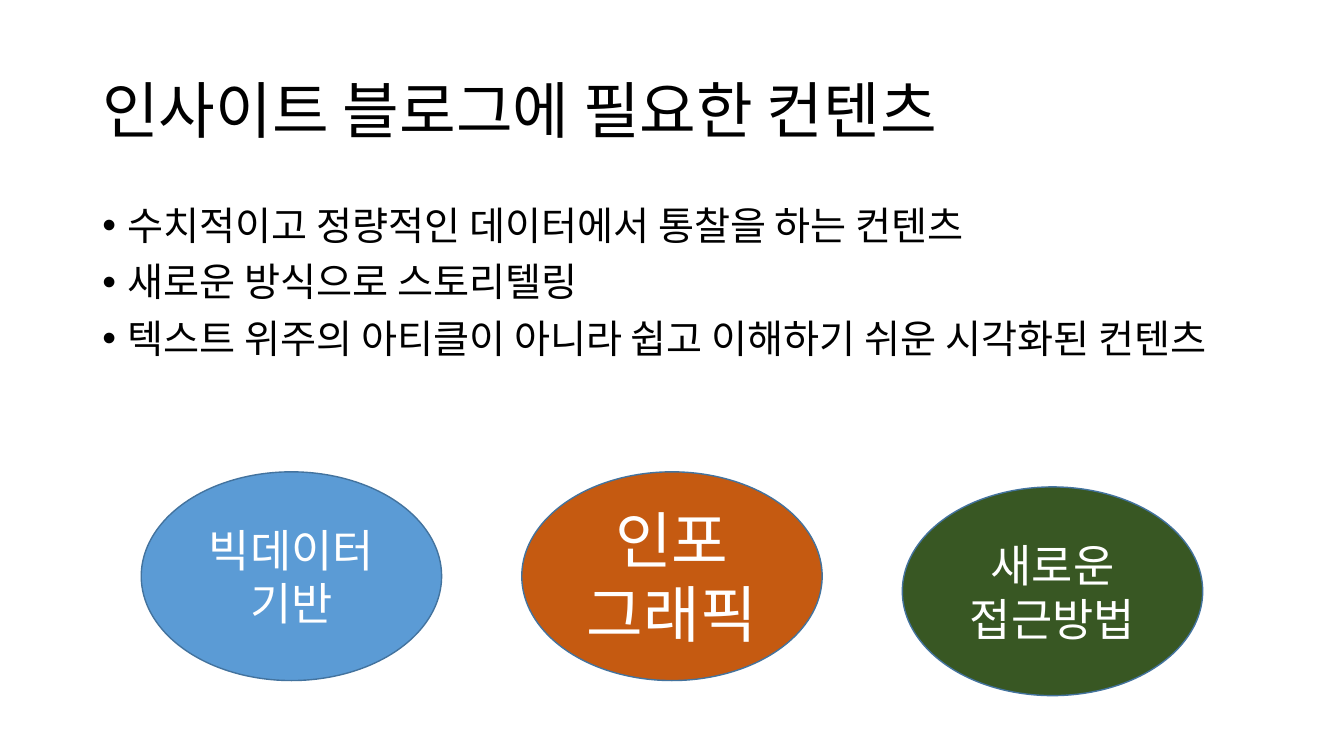
from lxml.etree import SubElement
from pptx import Presentation
from pptx.dml.color import RGBColor
from pptx.enum.shapes import MSO_SHAPE
from pptx.enum.text import MSO_ANCHOR, PP_ALIGN
from pptx.oxml.ns import qn
from pptx.util import Cm, Pt

FONT = "Noto Sans CJK KR"
COLORS = {
    "text": "000000",
    "white": "FFFFFF",
    "blue": "5B9BD5",
    "orange": "C55A11",
    "green": "385723",
    "outline": "43739E",
}


def add_run(p, text, size, color):
    r = p.add_run()
    r.text = text
    r.font.size = Pt(size)
    r.font.name = FONT
    r.font.color.rgb = RGBColor.from_string(COLORS[color])
    SubElement(r.font._element, qn("a:ea"), typeface=FONT)


def add_text_box(s, top, height, anchor):
    tf = s.shapes.add_textbox(Cm(2.33), Cm(top), Cm(29.21), Cm(height)).text_frame
    tf.word_wrap = True
    tf.vertical_anchor = anchor
    return tf


prs = Presentation()
prs.slide_width, prs.slide_height = Cm(33.87), Cm(19.05)
s = prs.slides.add_slide(prs.slide_layouts[6])

# Title
tf = add_text_box(s, 1.01, 3.68, MSO_ANCHOR.MIDDLE)
p = tf.paragraphs[0]
p.line_spacing = 0.9
add_run(p, "인사이트 블로그에 필요한 컨텐츠", 44, "text")

# Bulleted points
points = [
    "수치적이고 정량적인 데이터에서 통찰을 하는 컨텐츠",
    "새로운 방식으로 스토리텔링",
    "텍스트 위주의 아티클이 아니라 쉽고 이해하기 쉬운 시각화된 컨텐츠",
]
tf = add_text_box(s, 5.08, 12.09, MSO_ANCHOR.TOP)
for i, point in enumerate(points):
    p = tf.paragraphs[0] if i == 0 else tf.add_paragraph()
    p.line_spacing = 0.9
    p.space_before = Pt(10)
    pPr = p._p.get_or_add_pPr()
    pPr.set("marL", str(Cm(0.64)))
    pPr.set("indent", str(-Cm(0.64)))
    SubElement(pPr, qn("a:buFont"), typeface="Arial")
    SubElement(pPr, qn("a:buChar"), char="•")
    add_run(p, point, 28, "text")

# Three ellipses in a row
ellipses = [
    ("빅데이터 기반", 32, "blue", 11.89),
    ("인포 그래픽", 44, "orange", 11.89),
    ("새로운 접근방법", 32, "green", 12.27),
]
for i, (text, size, fill, top) in enumerate(ellipses):
    sp = s.shapes.add_shape(
        MSO_SHAPE.OVAL, Cm(3.56 + 9.59 * i), Cm(top), Cm(7.57), Cm(5.26)
    )
    sp.shadow.inherit = False
    sp.fill.solid()
    sp.fill.fore_color.rgb = RGBColor.from_string(COLORS[fill])
    sp.line.color.rgb = RGBColor.from_string(COLORS["outline"])
    sp.line.width = Pt(1)
    tf = sp.text_frame
    tf.word_wrap = True
    tf.vertical_anchor = MSO_ANCHOR.MIDDLE
    p = tf.paragraphs[0]
    p.alignment = PP_ALIGN.CENTER
    add_run(p, text, size, "white")

prs.save("out.pptx")
